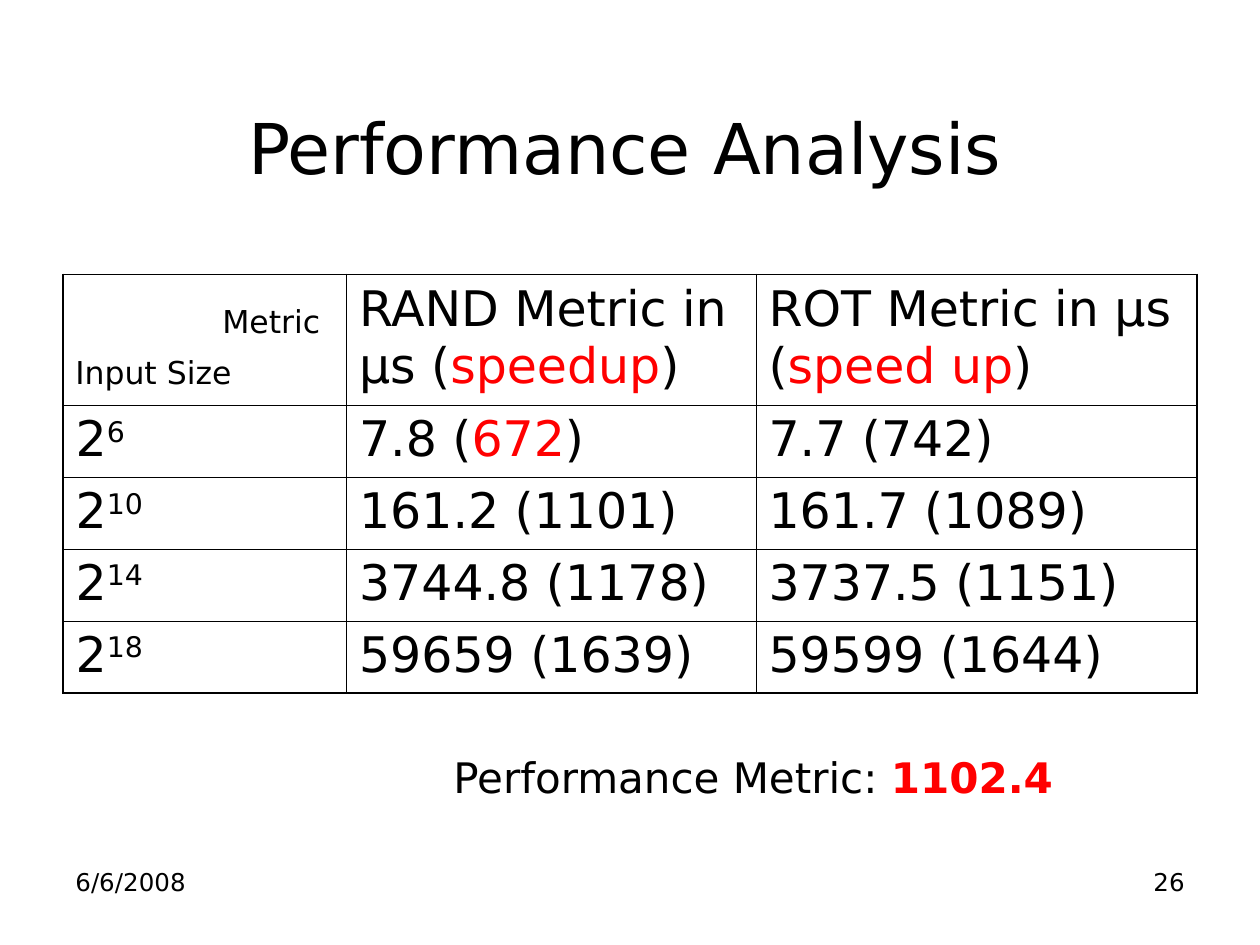
from lxml.etree import SubElement
from pptx import Presentation
from pptx.dml.color import RGBColor
from pptx.enum.text import MSO_ANCHOR, MSO_AUTO_SIZE, PP_ALIGN
from pptx.oxml.ns import qn
from pptx.util import Inches, Pt

THEME = {
    "font": "DejaVu Sans",
    "ink": RGBColor(0, 0, 0),
    "accent": RGBColor(255, 0, 0),
    "title": Pt(40),
    "table": Pt(28),
    "result": Pt(24),
    "label": Pt(18),
    "footer": Pt(14),
    "outer line": Pt(1.08),
    "inner line": Pt(0.45),
}
SPAN_STYLES = {
    "plain": {},
    "accent": {"color": "accent"},
    "strong": {"color": "accent", "bold": True},
    "power": {"baseline": "30000"},
}

deck = Presentation()
deck.slide_width, deck.slide_height = Inches(10), Inches(7.5)
page = deck.slides.add_slide(deck.slide_layouts[5])
COLUMN = deck.slide_width / 120
ROW = deck.slide_height / 90


def write(frame, spans, size, **paragraph_format):
    """Fill a text frame with one paragraph of (text, style name) spans."""
    para = frame.paragraphs[0]
    for name, value in paragraph_format.items():
        setattr(para, name, value)
    for text, style_name in spans:
        style = SPAN_STYLES[style_name]
        span = para.add_run()
        span.text = text
        font_format = {"name": THEME["font"], "size": THEME[size],
                       "bold": style.get("bold", False)}
        for name, value in font_format.items():
            setattr(span.font, name, value)
        span.font.color.rgb = THEME[style.get("color", "ink")]
        if "baseline" in style:
            span.font._element.set("baseline", style["baseline"])


def draw_borders(cell, outer_sides):
    properties = cell._tc.get_or_add_tcPr()
    for index, side in enumerate("LRTB"):
        width = THEME["outer line" if side in outer_sides else "inner line"]
        line = SubElement(properties, qn(f"a:ln{side}"), w=str(int(width)))
        fill = SubElement(line, qn("a:solidFill"))
        SubElement(fill, qn("a:srgbClr"), val=str(THEME["ink"]))
        properties.insert(index, line)


# Title
title = page.shapes.title
title_place = {"left": 4 * COLUMN, "top": 3.6 * ROW,
               "width": 111 * COLUMN, "height": 15 * ROW}
for name, value in title_place.items():
    setattr(title, name, int(value))
title.text_frame.vertical_anchor = MSO_ANCHOR.BOTTOM
title.text_frame.auto_size = MSO_AUTO_SIZE.NONE
write(title.text_frame, [("Performance Analysis", "plain")], "title",
      alignment=PP_ALIGN.CENTER)

# Results table
header = [
    [],
    [("RAND Metric in µs (", "plain"), ("speedup", "accent"), (")", "plain")],
    [("ROT Metric in µs (", "plain"), ("speed up", "accent"), (")", "plain")],
]
results = [
    ("6", [("7.8 (", "plain"), ("672", "accent"), (")", "plain")], "7.7 (742)"),
    ("10", [("161.2 (1101)", "plain")], "161.7 (1089)"),
    ("14", [("3744.8 (1178)", "plain")], "3737.5 (1151)"),
    ("18", [("59659 (1639)", "plain")], "59599 (1644)"),
]
contents = [header] + [
    [[("2", "plain"), (power, "power")], rand, [(rot, "plain")]]
    for power, rand, rot in results
]
column_widths = [27, 39, 42]
row_heights = [12.45] + [6.85] * len(results)
table = page.shapes.add_table(
    len(row_heights), len(column_widths), int(6 * COLUMN), int(26.15 * ROW),
    int(sum(column_widths) * COLUMN), int(sum(row_heights) * ROW)).table
table.first_row = table.horz_banding = False
for column, width in zip(table.columns, column_widths):
    column.width = int(width * COLUMN)
for row, height in zip(table.rows, row_heights):
    row.height = int(height * ROW)

last_row, last_column = len(row_heights) - 1, len(column_widths) - 1
for r, row_contents in enumerate(contents):
    for c, spans in enumerate(row_contents):
        cell = table.cell(r, c)
        cell.fill.background()
        write(cell.text_frame, spans, "table", space_before=Pt(7))
        edges = {"L": c == 0, "R": c == last_column,
                 "T": r == 0, "B": r == last_row}
        draw_borders(cell, [side for side, is_outer in edges.items() if is_outer])

# Corner labels, result line and footer: place in grid units, spans, size, format
texts = [
    ((20, 28.2, 18, 4.8), [("Metric", "plain")], "label",
     {"space_before": Pt(11.2)}),
    ((6, 33, 18, 4.8), [("Input Size", "plain")], "label",
     {"space_before": Pt(11.2)}),
    ((42, 71, 74, 6), [("Performance Metric: ", "plain"), ("1102.4", "strong")],
     "result", {"space_before": Pt(15)}),
    ((6, 82, 28, 6.2), [("6/6/2008", "plain")], "footer", {}),
    ((86, 82, 28, 6.2), [("26", "plain")], "footer",
     {"alignment": PP_ALIGN.RIGHT}),
]
for (left, top, width, height), spans, size, paragraph_format in texts:
    box = page.shapes.add_textbox(int(left * COLUMN), int(top * ROW),
                                  int(width * COLUMN), int(height * ROW))
    box.text_frame.word_wrap = True
    if size != "footer":
        box.text_frame.auto_size = MSO_AUTO_SIZE.SHAPE_TO_FIT_TEXT
    write(box.text_frame, spans, size, **paragraph_format)

deck.save("out.pptx")
